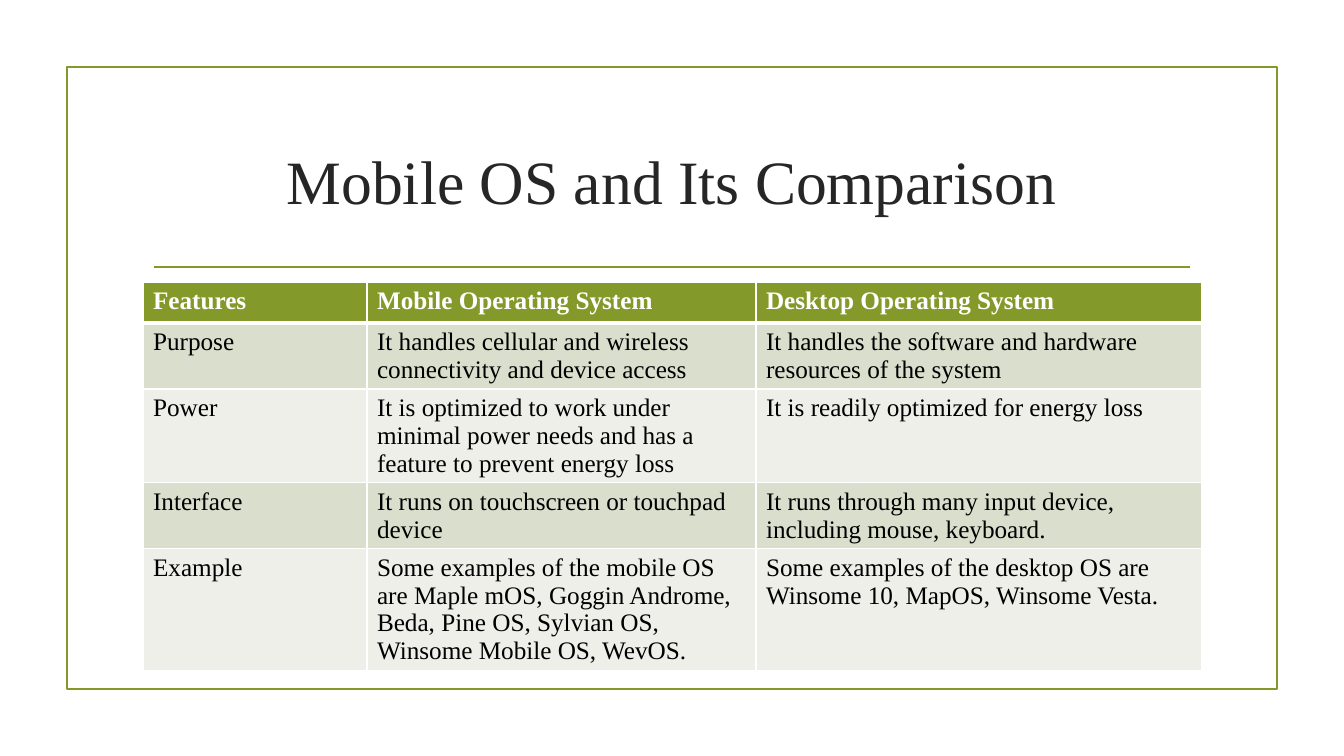
from lxml.etree import SubElement
from pptx import Presentation
from pptx.dml.color import RGBColor
from pptx.enum.shapes import MSO_CONNECTOR, MSO_SHAPE
from pptx.enum.text import MSO_ANCHOR, MSO_AUTO_SIZE, PP_ALIGN
from pptx.oxml import parse_xml
from pptx.oxml.ns import nsdecls, qn
from pptx.util import Emu, Pt

SCALE = 12192000 / 1344
FONT = "Times New Roman"
COLOURS = {
    "accent": "83992A",
    "title": "262626",
    "text": "000000",
    "white": "FFFFFF",
    "odd_row": "D9DECD",
    "even_row": "EDEFE8",
}
COLUMN_WIDTHS = [224, 389, 446]
ROW_HEIGHT = 41
COMPARISON = [
    ["Features", "Mobile Operating System", "Desktop Operating System"],
    ["Purpose",
     "It handles cellular and wireless connectivity and device access",
     "It handles the software and hardware resources of the system"],
    ["Power",
     "It is optimized to work under minimal power needs and has a feature to prevent energy loss",
     "It is readily optimized for energy loss"],
    ["Interface",
     "It runs on touchscreen or touchpad device",
     "It runs through many input device, including mouse, keyboard."],
    ["Example",
     "Some examples of the mobile OS are Maple mOS, Goggin Androme, Beda, Pine OS, "
     "Sylvian OS, Winsome Mobile OS, WevOS.",
     "Some examples of the desktop OS are Winsome 10, MapOS, Winsome Vesta."],
]


def px(length):
    return Emu(round(length * SCALE))


def colour(name):
    return RGBColor.from_string(COLOURS[name])


class ComparisonPage:
    """Draws styled elements on one title-only slide."""

    def __init__(self, deck):
        self.page = deck.slides.add_slide(deck.slide_layouts[5])

    def format_text(self, frame, size, name, bold=False):
        for para in frame.paragraphs:
            for span in para.runs:
                span.font.name = FONT
                span.font.size = Pt(size)
                span.font.bold = bold
                span.font.color.rgb = colour(name)

    def format_line(self, line):
        line.color.rgb = colour("accent")
        line.width = Pt(1.25)

    def title(self, text, left, top, width, height):
        box = self.page.shapes.title
        box.left, box.top = px(left), px(top)
        box.width, box.height = px(width), px(height)
        frame = box.text_frame
        frame.text = text
        frame.word_wrap = True
        frame.auto_size = MSO_AUTO_SIZE.NONE
        frame.vertical_anchor = MSO_ANCHOR.MIDDLE
        frame.paragraphs[0].alignment = PP_ALIGN.CENTER
        self.format_text(frame, 44, "title")

    def border(self, left, top, width, height):
        box = self.page.shapes.add_shape(
            MSO_SHAPE.RECTANGLE, px(left), px(top), px(width), px(height))
        box.shadow.inherit = False
        box.fill.background()
        self.format_line(box.line)

    def rule(self, left, right, top):
        line = self.page.shapes.add_connector(
            MSO_CONNECTOR.STRAIGHT, px(left), px(top), px(right), px(top))
        self.format_line(line.line)
        SubElement(line._element.spPr, qn("a:effectLst"))

    def cell_borders(self, cell, top, bottom):
        properties = cell._tc.get_or_add_tcPr()
        widths = {"lnL": 1, "lnR": 1, "lnT": top, "lnB": bottom}
        for position, (tag, width) in enumerate(widths.items()):
            properties.insert(position, parse_xml(
                f'<a:{tag} {nsdecls("a")} w="{Pt(width)}"><a:solidFill>'
                f'<a:srgbClr val="{COLOURS["white"]}"/></a:solidFill></a:{tag}>'))

    def table(self, rows, left, top):
        table = self.page.shapes.add_table(
            len(rows), len(COLUMN_WIDTHS), px(left), px(top),
            px(sum(COLUMN_WIDTHS)), px(ROW_HEIGHT * len(rows))).table
        for column, width in zip(table.columns, COLUMN_WIDTHS):
            column.width = px(width)
        for r, texts in enumerate(rows):
            header = r == 0
            fill = "accent" if header else "odd_row" if r % 2 else "even_row"
            table.rows[r].height = px(ROW_HEIGHT)
            for c, text in enumerate(texts):
                cell = table.cell(r, c)
                cell.text_frame.text = text
                self.format_text(cell.text_frame, 18, "white" if header else "text", header)
                cell.fill.solid()
                cell.fill.fore_color.rgb = colour(fill)
                self.cell_borders(cell, 3 if r == 1 else 1, 3 if header else 1)


def main():
    deck = Presentation()
    deck.slide_width, deck.slide_height = px(1344), px(756)
    page = ComparisonPage(deck)
    page.border(67, 67, 1210, 622)
    page.rule(154, 1190, 267)
    page.title("Mobile OS and Its Comparison", 143, 108, 1058, 144)
    page.table(COMPARISON, 143, 282)
    deck.save("out.pptx")


if __name__ == "__main__":
    main()
